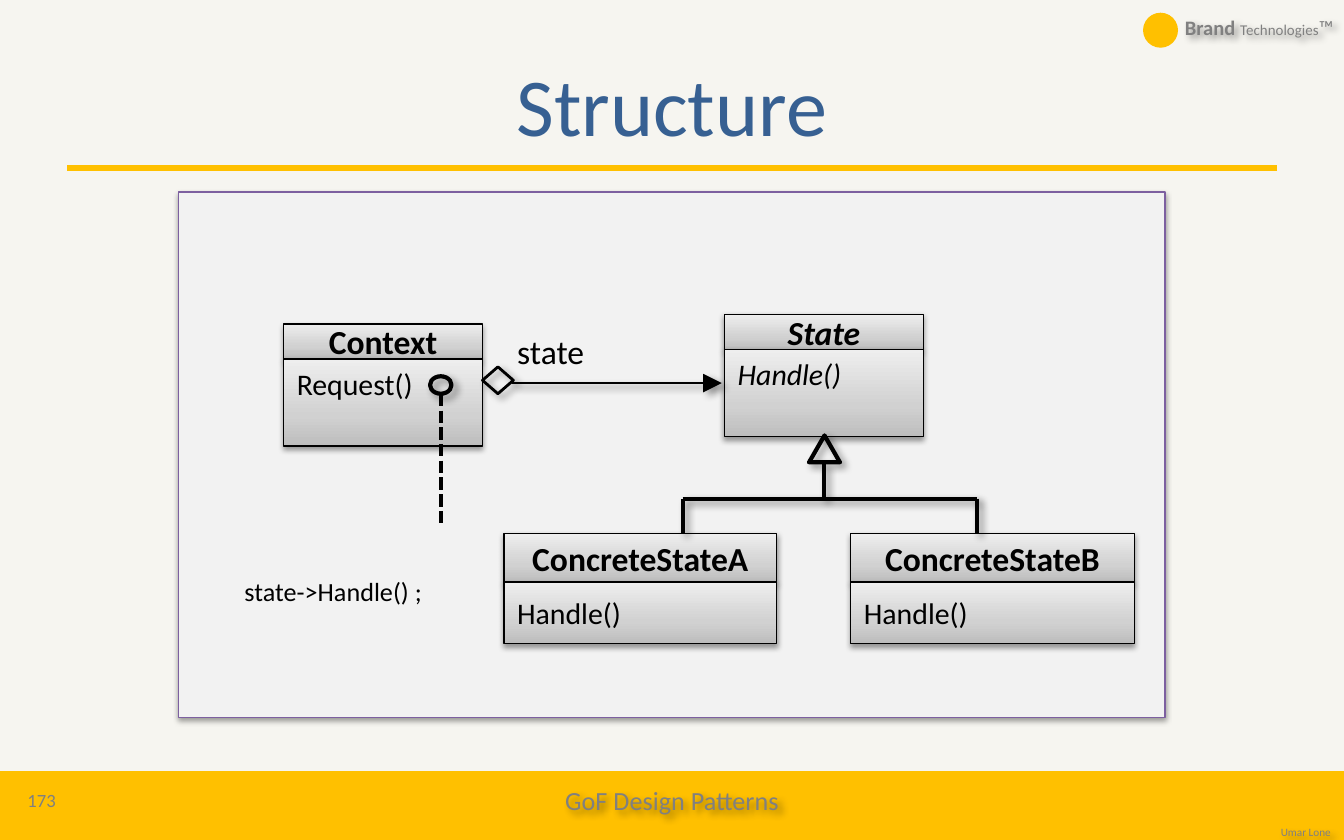
from copy import deepcopy
from lxml import etree
from pptx import Presentation
from pptx.dml.color import RGBColor
from pptx.enum.dml import MSO_LINE
from pptx.enum.shapes import MSO_CONNECTOR, MSO_SHAPE
from pptx.enum.text import MSO_ANCHOR, PP_ALIGN
from pptx.oxml import parse_xml
from pptx.oxml.ns import nsdecls, qn
from pptx.util import Inches, Pt

RECT, OVAL = MSO_SHAPE.RECTANGLE, MSO_SHAPE.OVAL
DIAMOND, TRIANGLE = MSO_SHAPE.DIAMOND, MSO_SHAPE.ISOSCELES_TRIANGLE
STRAIGHT, DASH = MSO_CONNECTOR.STRAIGHT, MSO_LINE.SQUARE_DOT
LEFT, CENTER, RIGHT = PP_ALIGN.LEFT, PP_ALIGN.CENTER, PP_ALIGN.RIGHT
TOP, MIDDLE, BOTTOM = MSO_ANCHOR.TOP, MSO_ANCHOR.MIDDLE, MSO_ANCHOR.BOTTOM

COLORS = {
    "back": "F6F5F0", "gold": "FFC000", "title": "376092", "gray": "808080",
    "panel": "F2F2F2", "violet": "7D60A0", "black": "000000",
}
GRADIENT = [(0, "BDBDBD"), (0.35, "D1D1D1"), (1, "EEEEEE")]
SOFT = {"blur": 3.1, "dist": 1.6, "angle": 90, "alpha": 38}
DIAGONAL = {"blur": 4, "dist": 3, "angle": 45, "alpha": 40}


def shadow_effect(blur=0, dist=0, angle=0, alpha=0):
    shadow = (
        f'<a:outerShdw blurRad="{Pt(blur)}" dist="{Pt(dist)}" dir="{angle * 60000}">'
        f'<a:srgbClr val="000000"><a:alpha val="{alpha * 1000}"/></a:srgbClr></a:outerShdw>'
    ) if alpha else ""
    return parse_xml(f'<a:effectLst {nsdecls("a")}>{shadow}</a:effectLst>')


def write(tf, runs, color="black", align=LEFT, anchor=TOP):
    tf.word_wrap = True
    tf.vertical_anchor = anchor
    p = tf.paragraphs[0]
    p.alignment = align
    for text, size, formats in runs:
        r = p.add_run()
        r.text = text
        r.font.color.rgb = RGBColor.from_string(COLORS[color])
        for name, value in {"name": "Calibri", "size": Pt(size), **formats}.items():
            setattr(r.font, name, value)


prs = Presentation()
prs.slide_width, prs.slide_height = Inches(10), Inches(6.25)
slide = prs.slides.add_slide(prs.slide_layouts[6])
slide.background.fill.solid()
slide.background.fill.fore_color.rgb = RGBColor.from_string(COLORS["back"])

classes = [
    ("State", "Handle()", 5.39, 2.34, 1.48, 0.26, 0.65, TOP, True),
    ("Context", "Request()", 2.11, 2.41, 1.48, 0.26, 0.65, TOP, False),
    ("ConcreteStateA", "Handle()", 3.75, 3.97, 2.03, 0.36, 0.46, MIDDLE, False),
    ("ConcreteStateB", "Handle()", 6.33, 3.97, 2.11, 0.36, 0.46, MIDDLE, False),
]
outlines = [
    (RECT, (0, 5.75, 10, 0.5), "gold", "gold", 2, None, None),
    (OVAL, (8.51, 0.1, 0.25, 0.25), "gold", "gold", 0.75, None, None),
    (RECT, (1.33, 1.43, 7.34, 3.91), "panel", "violet", 0.75, SOFT, None),
]
for name, method, x, y, w, head_h, body_h, anchor, italic in classes:
    head = ([(name, 18, {"bold": True, "italic": italic})], "black", CENTER, MIDDLE)
    body = ([(method, 16, {"italic": italic})], "black", LEFT, anchor)
    outlines += [
        (RECT, (x, y, w, head_h), "gradient", "black", 0.75, SOFT, head),
        (RECT, (x, y + head_h, w, body_h), "gradient", "black", 0.75, SOFT, body),
    ]
outlines += [
    (DIAMOND, (3.59, 2.73, 0.23, 0.2), None, "black", 1.5, DIAGONAL, None),
    (TRIANGLE, (6.02, 3.24, 0.23, 0.2), None, "black", 2.25, DIAGONAL, None),
    (OVAL, (3.2, 2.8, 0.16, 0.13), None, "black", 2.25, DIAGONAL, None),
]
for kind, at, fill, line, width, shadow, label in outlines:
    s = slide.shapes.add_shape(kind, *map(Inches, at))
    s.shadow.inherit = False
    s.line.color.rgb = RGBColor.from_string(COLORS[line])
    s.line.width = Pt(width)
    if fill == "gradient":
        s.fill.gradient()
        s.fill.gradient_angle = 90
        stops = s._element.spPr.find(".//" + qn("a:gsLst"))
        stops.append(deepcopy(stops[-1]))
        for stop, (position, color) in zip(s.fill.gradient_stops, GRADIENT):
            stop.position = position
            stop.color.rgb = RGBColor.from_string(color)
    elif fill:
        s.fill.solid()
        s.fill.fore_color.rgb = RGBColor.from_string(COLORS[fill])
    else:
        s.fill.background()
    if shadow:
        effects = s._element.spPr.find(qn("a:effectLst"))
        effects.append(shadow_effect(**shadow)[0])
    if label:
        write(s.text_frame, *label)

lines = [
    ((0.5, 1.25, 9.5, 1.25), "gold", 3, None, None, False),
    ((3.81, 2.85, 5.37, 2.85), "black", 1.5, DIAGONAL, None, True),
    ((6.13, 3.45, 6.13, 3.71), "black", 2.25, DIAGONAL, None, False),
    ((5.08, 3.71, 7.27, 3.71), "black", 2.25, DIAGONAL, None, False),
    ((7.27, 3.71, 7.27, 3.97), "black", 2.25, DIAGONAL, None, False),
    ((5.08, 3.71, 5.08, 3.97), "black", 2.25, DIAGONAL, None, False),
    ((3.28, 2.93, 3.28, 3.91), "black", 2.25, None, DASH, False),
]
for ends, color, width, shadow, dash, arrow in lines:
    c = slide.shapes.add_connector(STRAIGHT, *map(Inches, ends))
    c.line.color.rgb = RGBColor.from_string(COLORS[color])
    c.line.width = Pt(width)
    if dash:
        c.line.dash_style = dash
    if arrow:
        etree.SubElement(c.line._ln, qn("a:tailEnd"), type="triangle", w="lg", len="lg")
    c._element.spPr.append(shadow_effect(**(shadow or {})))

company = [
    ("Brand ", 11, {"bold": True}),
    ("Technologies", 8, {}),
    ("™", 11, {}),
]
texts = [
    ((0.5, 0.25, 9, 1.04), [("Structure", 44, {})], "title", CENTER, MIDDLE, None),
    ((0.03, 5.79, 0.56, 0.33), [("173", 10, {})], "gray", CENTER, MIDDLE, None),
    ((3.99, 5.76, 2.02, 0.38), [("GoF Design Patterns", 14, {})], "gray", CENTER, MIDDLE, DIAGONAL),
    ((8.67, 6.12, 1.33, 0.17), [("Umar Lone", 6, {})], "gray", RIGHT, BOTTOM, DIAGONAL),
    ((8.69, 0.01, 1.33, 0.38), company, "gray", RIGHT, MIDDLE, DIAGONAL),
    ((3.75, 2.41, 1.17, 0.4), [("state", 18, {})], "black", LEFT, TOP, None),
    ((1.72, 4.23, 1.95, 0.34), [("state->Handle() ;", 14, {})], "black", LEFT, TOP, None),
]
for at, runs, color, align, anchor, shadow in texts:
    s = slide.shapes.add_textbox(*map(Inches, at))
    write(s.text_frame, runs, color, align, anchor)
    if shadow:
        s._element.spPr.append(shadow_effect(**shadow))

prs.save("out.pptx")
